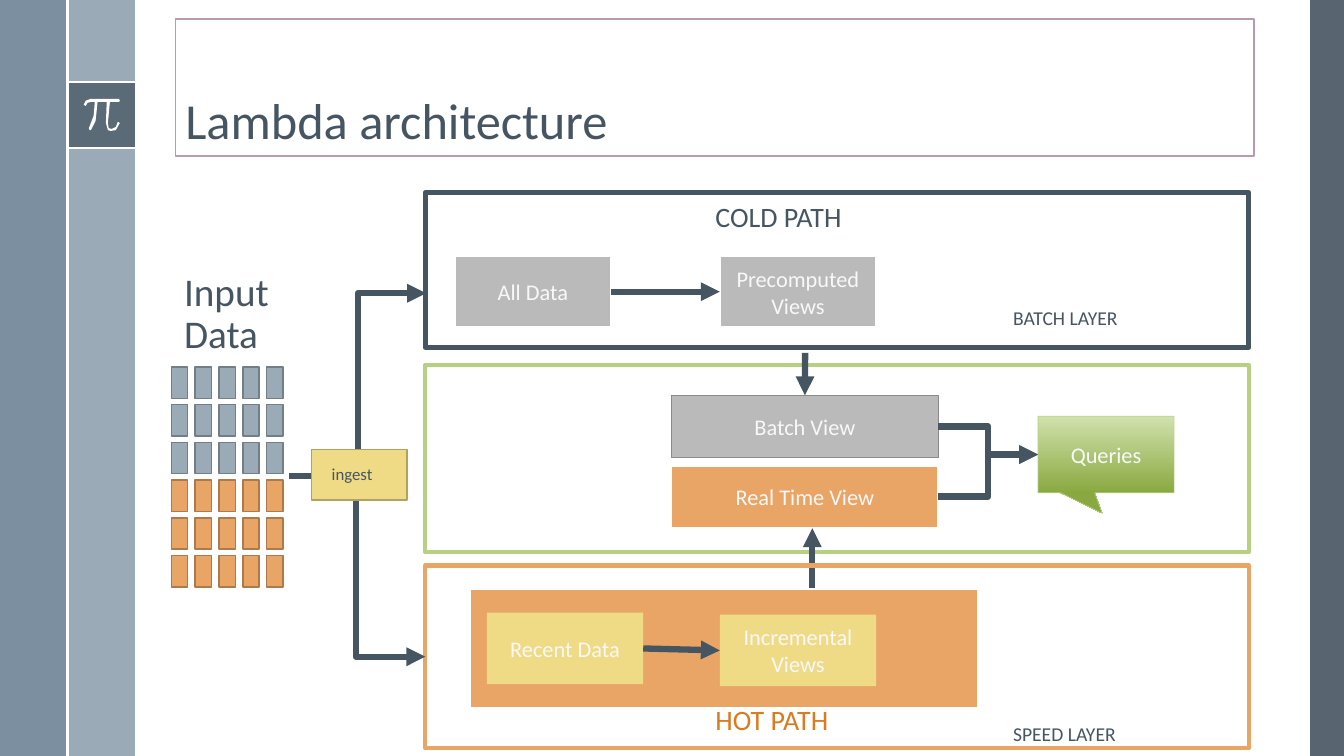
from lxml import etree
from pptx import Presentation
from pptx.dml.color import RGBColor
from pptx.enum.shapes import MSO_CONNECTOR, MSO_SHAPE
from pptx.enum.text import MSO_ANCHOR, MSO_AUTO_SIZE, PP_ALIGN
from pptx.oxml.ns import qn
from pptx.util import Cm, Pt

WHITE = RGBColor(0xFF, 0xFF, 0xFF)
OFF_WHITE = RGBColor(0xF8, 0xF8, 0xF8)
SLATE = RGBColor(0x46, 0x55, 0x62)
STEEL = RGBColor(0x6A, 0x80, 0x93)
MIST = RGBColor(0x9B, 0xAA, 0xB7)
MIST_EDGE = RGBColor(0x73, 0x7E, 0x87)
MAUVE = RGBColor(0xBC, 0x9A, 0xAE)
GRAY = RGBColor(0xBA, 0xBA, 0xBA)
GRAY_EDGE = RGBColor(0x8A, 0x8A, 0x8A)
ORANGE = RGBColor(0xE8, 0xA5, 0x65)
ORANGE_EDGE = RGBColor(0xAC, 0x7A, 0x4B)
ORANGE_TEXT = RGBColor(0xD9, 0x7B, 0x20)
YELLOW = RGBColor(0xEF, 0xDB, 0x85)
YELLOW_EDGE = RGBColor(0xB1, 0xA2, 0x62)
GREEN = RGBColor(0xB8, 0xD0, 0x82)
GREEN_LIGHT = RGBColor(0xD1, 0xE1, 0xAD)
GREEN_DARK = RGBColor(0x89, 0xA9, 0x40)

WIDE_INSETS = (0.51, 0.41)
NORMAL_INSETS = (0.25, 0.13)
BOX_INSETS = (0, 0.13)

# Outline of the pi sign, in centimetres
PI_OUTLINE = [
    (3, 2.49), (2.29, 2.49), (2.16, 2.54), (2.11, 2.64), (2.16, 2.67), (2.21, 2.59),
    (2.29, 2.57), (2.39, 2.57), (2.36, 2.92), (2.24, 3.23), (2.26, 3.28), (2.29, 3.28),
    (2.41, 3.05), (2.46, 2.57), (2.69, 2.57), (2.67, 3.1), (2.72, 3.28), (2.79, 3.3),
    (2.92, 3.28), (3.02, 3.1), (2.97, 3.07), (2.92, 3.2), (2.82, 3.25), (2.74, 3.23),
    (2.72, 3.1), (2.77, 2.57), (3, 2.57), (3.02, 2.54),
]


class SlideBuilder:
    font_name = "Calibri"
    arrow_width = 4.5

    def __init__(self, slide):
        self.shapes = slide.shapes

    def outline(self, shape, color, width):
        if color is None:
            shape.line.fill.background()
        else:
            shape.line.color.rgb = color
            shape.line.width = Pt(width)

    def set_text(self, shape, text, size, color, insets, align=PP_ALIGN.LEFT,
                 anchor=MSO_ANCHOR.TOP, wrap=True, spacing=0.9):
        frame = shape.text_frame
        frame.text = text
        frame.word_wrap = wrap
        frame.auto_size = MSO_AUTO_SIZE.NONE
        frame.vertical_anchor = anchor
        frame.margin_left = frame.margin_right = Cm(insets[0])
        frame.margin_top = frame.margin_bottom = Cm(insets[1])
        for paragraph in frame.paragraphs:
            paragraph.alignment = align
            paragraph.line_spacing = spacing
            for run in paragraph.runs:
                run.font.name = self.font_name
                run.font.size = Pt(size)
                run.font.color.rgb = color

    def title(self, text, left, top, width, height):
        title = self.shapes.title
        title.left, title.top, title.width, title.height = map(Cm, (left, top, width, height))
        title.fill.solid()
        title.fill.fore_color.rgb = WHITE
        self.outline(title, MAUVE, 1)
        self.set_text(title, text, 36, SLATE, NORMAL_INSETS, anchor=MSO_ANCHOR.BOTTOM)

    def shape(self, left, top, width, height, fill=None, line=None, line_width=1.5,
              opacity=100, kind=MSO_SHAPE.RECTANGLE):
        shape = self.shapes.add_shape(kind, Cm(left), Cm(top), Cm(width), Cm(height))
        shape.shadow.inherit = False
        if fill is None:
            shape.fill.background()
        else:
            shape.fill.solid()
            shape.fill.fore_color.rgb = fill
        if opacity < 100:
            color = shape._element.spPr.find(qn("a:solidFill"))[0]
            etree.SubElement(color, qn("a:alpha"), val=str(opacity * 1000))
        self.outline(shape, line, line_width)
        return shape

    def box(self, text, left, top, width, height, fill=None, **style):
        shape = self.shape(left, top, width, height, fill, **style)
        self.set_text(shape, text, 16, OFF_WHITE, BOX_INSETS, PP_ALIGN.CENTER,
                      MSO_ANCHOR.MIDDLE, spacing=1)
        return shape

    def label(self, text, left, top, width, height, size, color=SLATE, insets=NORMAL_INSETS):
        text_box = self.shapes.add_textbox(Cm(left), Cm(top), Cm(width), Cm(height))
        self.set_text(text_box, text, size, color, insets, wrap=False)

    def connector(self, begin, end, kind=MSO_CONNECTOR.STRAIGHT, color=SLATE,
                  width=arrow_width, arrow="tailEnd"):
        """Each end is an (x, y) point or a (shape, side) pair."""
        begin_is_point, end_is_point = (isinstance(place[0], (int, float))
                                        for place in (begin, end))
        begin_point = begin if begin_is_point else (0, 0)
        end_point = end if end_is_point else (0, 0)
        connector = self.shapes.add_connector(kind, *map(Cm, begin_point + end_point))
        if not begin_is_point:
            connector.begin_connect(*begin)
        if not end_is_point:
            connector.end_connect(*end)
        self.outline(connector, color, width)
        properties = connector._element.spPr
        if arrow:
            etree.SubElement(properties.find(qn("a:ln")), qn(f"a:{arrow}"), type="triangle")
        etree.SubElement(properties, qn("a:effectLst"))
        return connector

    def freeform(self, points, fill):
        corners = [(Cm(x), Cm(y)) for x, y in points]
        builder = self.shapes.build_freeform(*corners[0])
        builder.add_line_segments(corners[1:], close=True)
        shape = builder.convert_to_shape()
        shape.shadow.inherit = False
        shape.fill.solid()
        shape.fill.fore_color.rgb = fill
        shape.line.fill.background()


def main():
    presentation = Presentation()
    presentation.slide_width, presentation.slide_height = Cm(33.87), Cm(19.05)
    build = SlideBuilder(presentation.slides.add_slide(presentation.slide_layouts[5]))

    # Side bands and pi emblem
    build.shape(33.02, 0, 0.85, 19.05, SLATE, opacity=90)
    build.shape(1.7, 0, 1.7, 19.05, MIST)
    build.shape(0, 0, 1.7, 19.05, STEEL, opacity=88)
    build.shape(1.7, 2.06, 1.7, 1.68, SLATE, opacity=75)
    for begin, end in [((1.7, 2.06), (3.4, 2.06)), ((1.7, 3.74), (3.4, 3.74)),
                       ((1.7, 0), (1.7, 19.05))]:
        build.connector(begin, end, color=WHITE, width=1.5, arrow=None)
    build.freeform(PI_OUTLINE, WHITE)

    build.title("Lambda architecture", 4.42, 0.48, 27.18, 3.45)

    # Serving layer
    build.shape(10.72, 9.19, 20.75, 4.72, line=GREEN, line_width=3)
    batch_view = build.box("Batch View", 16.92, 9.96, 6.73, 1.57, GRAY,
                           line=GRAY_EDGE, line_width=1)
    real_time_view = build.box("Real Time View", 16.92, 11.73, 6.73, 1.57, ORANGE, line=WHITE)
    queries = build.box("Queries", 26.16, 10.49, 3.43, 1.93, line=GREEN, line_width=0.5,
                        kind=MSO_SHAPE.RECTANGULAR_CALLOUT)
    queries.adjustments[0], queries.adjustments[1] = -0.028, 0.769
    queries.fill.gradient()
    queries.fill.gradient_angle = 270
    for stop, color in zip(queries.fill.gradient_stops, (GREEN_LIGHT, GREEN_DARK)):
        stop.color.rgb = color
    for view in (batch_view, real_time_view):
        build.connector((view, 3), (queries, 1), MSO_CONNECTOR.ELBOW)

    # Speed layer
    build.shape(11.84, 14.83, 12.8, 3.02, ORANGE, line=WHITE)
    recent_data = build.box("Recent Data", 12.27, 15.44, 3.94, 1.8, YELLOW)
    incremental = build.box("Incremental Views", 18.14, 15.49, 3.94, 1.8, YELLOW)
    build.connector((recent_data, 3), (incremental, 1))
    build.connector((20.47, 14.81), (20.47, 13.31))
    hot_path = build.shape(10.72, 14.25, 20.75, 4.6, line=ORANGE, line_width=3)
    build.label("HOT PATH", 17.78, 17.68, 3.86, 1.02, 20, ORANGE_TEXT)
    build.label("SPEED LAYER", 25.02, 17.86, 4.04, 1.37, 14, insets=WIDE_INSETS)

    # Batch layer
    all_data = build.box("All Data", 11.46, 6.45, 3.94, 1.8, GRAY, line=WHITE)
    precomputed = build.box("Precomputed Views", 18.14, 6.45, 3.94, 1.8, GRAY, line=WHITE)
    build.connector((all_data, 3), (precomputed, 1))
    build.connector((20.29, 8.89), (batch_view, 0))
    build.shape(10.72, 4.85, 20.75, 3.91, line=SLATE, line_width=3.5)
    build.label("COLD PATH", 17.78, 5, 4.27, 1.02, 20)
    build.label("BATCH LAYER", 25.02, 7.37, 4.14, 1.37, 14, insets=WIDE_INSETS)

    # Ingestion into both paths
    to_hot = build.connector((hot_path, 1), (8.97, 12.12), MSO_CONNECTOR.ELBOW, arrow="headEnd")
    to_hot._element.spPr.find(qn("a:prstGeom")).set("prst", "bentConnector2")
    build.connector((7.29, 11.99), (10.74, 7.39), MSO_CONNECTOR.ELBOW)
    ingest = build.shape(7.85, 11.33, 2.41, 1.27, YELLOW, line=YELLOW_EDGE, line_width=1)
    build.set_text(ingest, "ingest", 12, SLATE, WIDE_INSETS)

    # Input records: three rows for each path
    build.label("Input\nData", 4.39, 6.73, 3.07, 2.41, 28)
    for row in range(6):
        fill, edge = (MIST, MIST_EDGE) if row < 3 else (ORANGE, ORANGE_EDGE)
        for column in range(5):
            build.shape(4.32 + 0.6 * column, 9.25 + 0.95 * row, 0.41, 0.79, fill,
                        line=edge, line_width=1)

    presentation.save("out.pptx")


if __name__ == "__main__":
    main()
